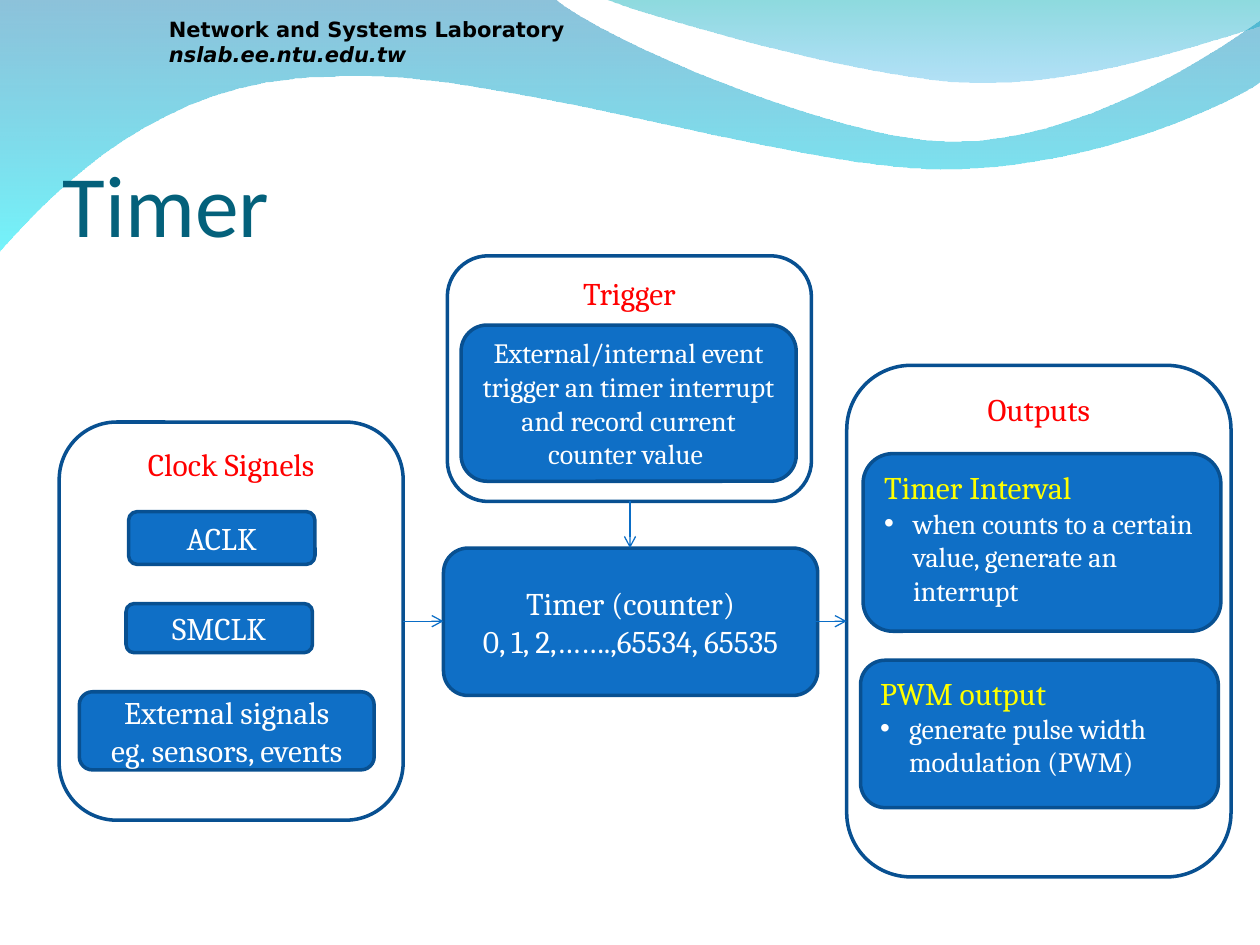
from lxml import etree
from pptx import Presentation
from pptx.dml.color import RGBColor
from pptx.enum import shapes, text
from pptx.oxml.ns import qn
from pptx.util import Inches, Pt

COLORS = {
    "box": "0F6FC6", "border": "085091", "arrow": "0A6DC6", "title": "04617B",
    "white": "FFFFFF", "black": "000000", "heading": "FF0000", "output": "FFFF00",
}
BODY_FONT = "Cambria"

# A wave is a start point followed by lines (one point) and cubic curves (three points),
# then gradient stops as (colour, opacity in percent).
WAVES = [
    ((0, 0), [
        [(4.4, -0.01)],
        [(4.76, 0.3), (6.64, 1.12), (7.58, 1.12)],
        [(8.53, 1.12), (9.58, 0.46), (10, 0.16)],
        [(10.01, 0.64)],
        [(9.83, 0.78), (8.7, 1.34), (7.46, 1.34)],
        [(6.22, 1.33), (3.82, 0.5), (2.57, 0.61)],
        [(1.29, 0.63), (0.46, 1.47), (-0.01, 2)],
    ], [("0079AF", 45), ("00EBF8", 55)]),
    ((4.79, -0.01), [
        [(5.09, 0.11), (6.82, 0.62), (7.69, 0.65)],
        [(8.56, 0.69), (9.61, 0.32), (10, 0.21)],
        [(10, 0)],
    ], [("00ADB6", 45), ("009BE5", 30)]),
]
UNITS_PER_INCH = 100

LAB = ["Network and Systems Laboratory", "nslab.ee.ntu.edu.tw"]
TITLE = "Timer"

# Heading, (left, top, width, height)
GROUPS = [
    ("Clock Signels", (0.47, 3.35, 2.73, 3.16)),
    ("Trigger", (3.55, 2.03, 2.89, 1.95)),
    ("Outputs", (6.72, 2.9, 3.05, 4.06)),
]
# Lines, text size, (left, top, width, height)
BLOCKS = [
    (["Timer (counter)", "0, 1, 2,…….,65534, 65535"], 18, (3.52, 4.35, 2.97, 1.17)),
    (["ACLK"], 18, (1.02, 4.06, 1.48, 0.42)),
    (["SMCLK"], 18, (1, 4.79, 1.48, 0.39)),
    (["External signals", "eg. sensors, events"], 18, (0.63, 5.49, 2.34, 0.62)),
    (["External/internal event trigger an timer interrupt and record current counter value "],
     16, (3.66, 2.58, 2.66, 1.24)),
]
# Heading, bullet, (left, top, width, height)
OUTPUTS = [
    ("Timer Interval", "when counts to a certain value, generate an interrupt",
     (6.85, 3.6, 2.84, 1.41)),
    ("PWM output", "generate pulse width modulation (PWM)", (6.83, 5.24, 2.84, 1.17)),
]
ARROWS = [
    ((3.2, 4.93), (3.52, 4.93)),
    ((5, 3.98), (5, 4.35)),
    ((6.48, 4.93), (6.72, 4.93)),
]


def rgb(name):
    return RGBColor.from_string(COLORS[name])


def bend(wave, segments):
    """Turn each run of three straight lines that stands for a curve into one cubic."""
    lines = iter(list(wave._element.iter(qn("a:lnTo"))))
    for segment in segments:
        group = [next(lines) for _ in segment]
        if len(group) == 3:
            curve = etree.Element(qn("a:cubicBezTo"))
            group[0].addprevious(curve)
            for line in group:
                curve.append(line[0])
                line.getparent().remove(line)


def add_wave(slide, start, segments, stops):
    def scaled(point):
        return tuple(value * UNITS_PER_INCH for value in point)

    builder = slide.shapes.build_freeform(
        *scaled(start), scale=Inches(1) / UNITS_PER_INCH)
    builder.add_line_segments(
        [scaled(point) for segment in segments for point in segment], close=True)
    wave = builder.convert_to_shape()
    bend(wave, segments)
    wave.shadow.inherit = False
    wave.line.fill.background()
    wave.fill.gradient()
    wave.fill.gradient_angle = 270
    for stop, (color, _) in zip(wave.fill.gradient_stops, stops):
        stop.color.rgb = RGBColor.from_string(color)
    gradient = wave._element.spPr.find(qn("a:gradFill"))
    for color, (_, opacity) in zip(gradient.iter(qn("a:srgbClr")), stops):
        etree.SubElement(color, qn("a:alpha"), val=str(opacity * 1000))


def write(shape, lines, anchor, align, margins=(0.1, 0.05, 0.1, 0.05)):
    """Fill a shape with (text, size, colour, font) lines and return its paragraphs."""
    frame = shape.text_frame
    frame.word_wrap = True
    frame.vertical_anchor = anchor
    (frame.margin_left, frame.margin_top,
     frame.margin_right, frame.margin_bottom) = map(Inches, margins)
    frame.text = "\n".join(line[0] for line in lines)
    for paragraph, (_, size, color, font) in zip(frame.paragraphs, lines):
        paragraph.alignment = align
        for run in paragraph.runs:
            run.font.size = Pt(size)
            run.font.name = font
            run.font.color.rgb = rgb(color)
    return frame.paragraphs


def add_rounded(slide, place, filled=True):
    box = slide.shapes.add_shape(shapes.MSO_SHAPE.ROUNDED_RECTANGLE, *map(Inches, place))
    box.adjustments[0] = 0.167
    box.shadow.inherit = False
    if filled:
        box.fill.solid()
        box.fill.fore_color.rgb = rgb("box")
    else:
        box.fill.background()
    box.line.color.rgb = rgb("border")
    box.line.width = Pt(2)
    return box


def add_bullet(paragraph, indent=0.23):
    props = paragraph._p.get_or_add_pPr()
    props.set("marL", str(Inches(indent)))
    props.set("indent", str(-Inches(indent)))
    color = etree.SubElement(props, qn("a:buClr"))
    etree.SubElement(color, qn("a:srgbClr"), val=COLORS["white"])
    etree.SubElement(props, qn("a:buFont"), typeface="Arial")
    etree.SubElement(props, qn("a:buChar"), char="•")


def add_arrow(slide, start, end):
    arrow = slide.shapes.add_connector(
        shapes.MSO_CONNECTOR.STRAIGHT, *map(Inches, start + end))
    arrow.line.color.rgb = rgb("arrow")
    arrow.line.width = Pt(0.75)
    etree.SubElement(arrow.line._get_or_add_ln(), qn("a:tailEnd"), type="arrow")
    etree.SubElement(arrow._element.spPr, qn("a:effectLst"))


def main():
    prs = Presentation()
    prs.slide_width, prs.slide_height = Inches(10), Inches(7.5)
    slide = prs.slides.add_slide(prs.slide_layouts[6])
    top, middle, bottom = (text.MSO_ANCHOR.TOP, text.MSO_ANCHOR.MIDDLE,
                           text.MSO_ANCHOR.BOTTOM)
    left, center = text.PP_ALIGN.LEFT, text.PP_ALIGN.CENTER

    for wave in WAVES:
        add_wave(slide, *wave)

    lab = slide.shapes.add_textbox(*map(Inches, (1.25, 0.09, 3.75, 0.49)))
    lab_lines = write(lab, [(line, 12, "black", "DejaVu Sans") for line in LAB],
                      top, left, (0.09, 0.04, 0.09, 0.04))
    for paragraph in lab_lines:
        paragraph.runs[0].font.bold = True
    lab_lines[1].runs[0].font.italic = True

    title = slide.shapes.add_textbox(*map(Inches, (0.5, 0.77, 9, 1.25)))
    write(title, [(TITLE, 50, "title", "Calibri")], bottom, left, (0, 0.05, 0, 0))

    for heading, place in GROUPS:
        write(add_rounded(slide, place, filled=False),
              [(heading, 18, "heading", BODY_FONT)], top, center)
    for lines, size, place in BLOCKS:
        write(add_rounded(slide, place),
              [(line, size, "white", BODY_FONT) for line in lines], middle, center)
    for heading, detail, place in OUTPUTS:
        paragraphs = write(add_rounded(slide, place),
                           [(heading, 18, "output", BODY_FONT),
                            (detail, 16, "white", BODY_FONT)], top, left)
        add_bullet(paragraphs[1])
    for start, end in ARROWS:
        add_arrow(slide, start, end)

    prs.save("out.pptx")


if __name__ == "__main__":
    main()
